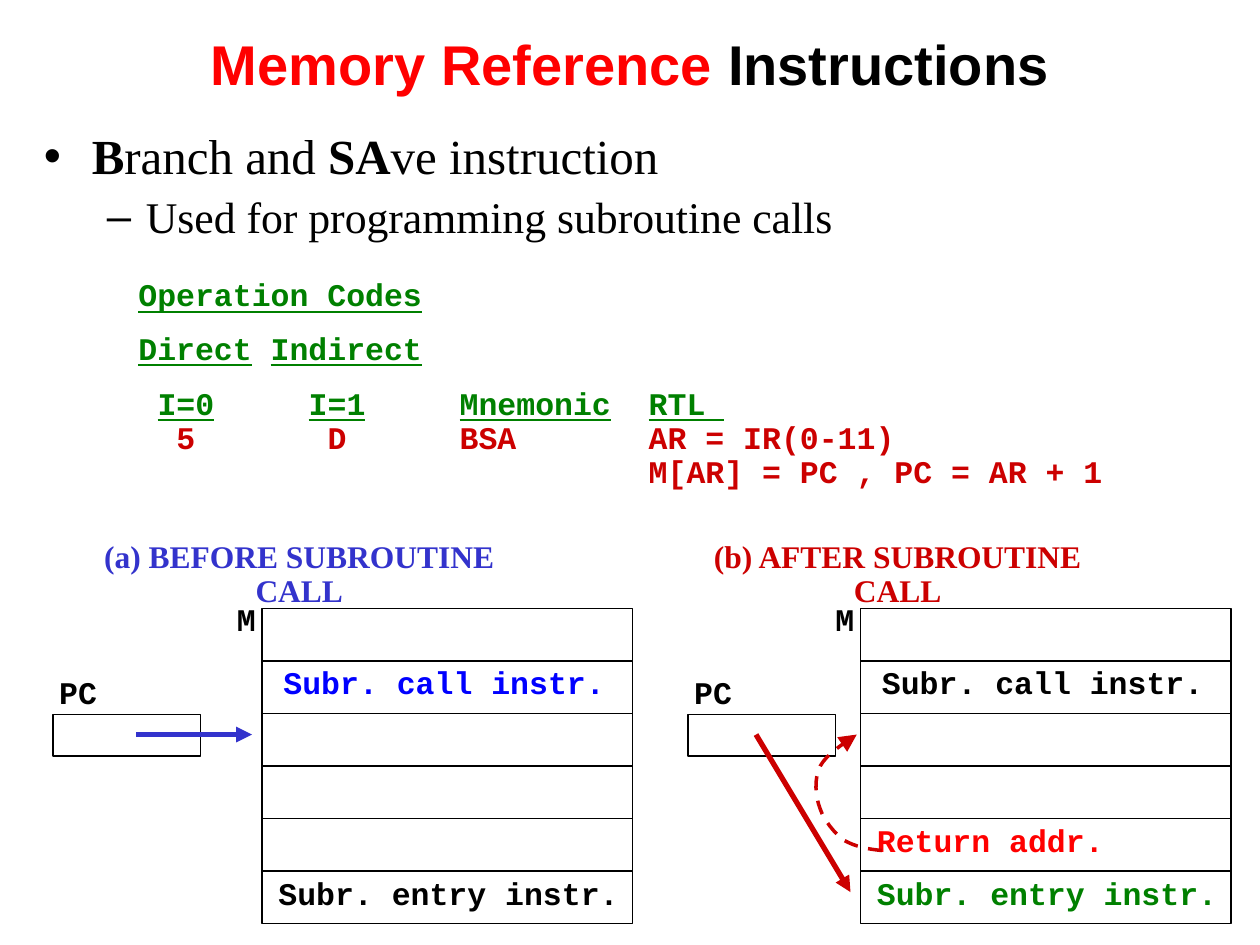
from dataclasses import dataclass

from lxml.etree import SubElement
from pptx import Presentation
from pptx.dml.color import RGBColor
from pptx.enum.dml import MSO_LINE
from pptx.enum.shapes import MSO_CONNECTOR, MSO_SHAPE
from pptx.enum.text import MSO_ANCHOR, PP_ALIGN
from pptx.oxml.ns import qn
from pptx.util import Inches, Pt


@dataclass(frozen=True)
class Theme:
    black: str = "000000"
    red: str = "FF0000"
    crimson: str = "CC0000"
    green: str = "008000"
    blue: str = "0000FF"
    indigo: str = "3333CC"
    sans: str = "Arial"
    serif: str = "Times New Roman"
    mono: str = "Courier New"
    title: float = 32
    bullet: float = 28
    dash: float = 25
    label: float = 18


THEME = Theme()


def curve_points(start, segments, steps=8):
    points = [start]
    for first, second, end in segments:
        for step in range(1, steps + 1):
            t = step / steps
            weights = ((1 - t) ** 3, 3 * t * (1 - t) ** 2, 3 * t**2 * (1 - t), t**3)
            corners = (start, first, second, end)
            points.append(tuple(sum(w * c[axis] for w, c in zip(weights, corners)) for axis in (0, 1)))
        start = end
    return points


class SlideBuilder:
    def __init__(self, theme, page):
        self.theme = theme
        self.page = page
        self.shapes = page.shapes

    def start_group(self):
        self.shapes = self.page.shapes.add_group_shape().shapes

    def text_box(self, left, top, width, height, wrap=True, anchor=MSO_ANCHOR.TOP):
        box = self.shapes.add_textbox(Inches(left), Inches(top), Inches(width), Inches(height))
        box.text_frame.word_wrap = wrap
        box.text_frame.vertical_anchor = anchor
        return box.text_frame

    def paragraph(self, frame, spans, font, size, first=False, align=None, spacing=0.9, before=0,
                  margin=0, indent=0, bullet=None):
        para = frame.paragraphs[0] if first else frame.add_paragraph()
        para.alignment = align
        para.line_spacing = spacing
        para.space_before = Pt(before)
        if bullet:
            properties = para._p.get_or_add_pPr()
            properties.set("marL", str(Inches(margin)))
            properties.set("indent", str(Inches(indent)))
            SubElement(SubElement(properties, qn("a:buClr")), qn("a:srgbClr"), val=self.theme.black)
            SubElement(properties, qn("a:buFont"), typeface=self.theme.sans)
            SubElement(properties, qn("a:buChar"), char=bullet)
        for text, color, bold, underline in spans:
            span = para.add_run()
            span.text = text
            span.font.name = font
            span.font.size = Pt(size)
            span.font.bold = bold
            span.font.underline = underline
            span.font.color.rgb = RGBColor.from_string(color)

    def label(self, text, left, top, width, color=THEME.black, font=THEME.mono, wrap=False):
        frame = self.text_box(left, top, width, 0.37, wrap)
        self.paragraph(frame, [(text, color, True, False)], font, self.theme.label,
                       first=True, align=PP_ALIGN.CENTER)

    def code_column(self, heading, values, left, width, align):
        frame = self.text_box(left, 3.03, width, 0.1 + 0.27 * (1 + len(values)))
        self.paragraph(frame, [(heading, self.theme.green, True, True)],
                       self.theme.mono, self.theme.label, first=True, align=align)
        for value in values:
            self.paragraph(frame, [(value, self.theme.crimson, True, False)],
                           self.theme.mono, self.theme.label, align=align)

    def style_line(self, shape, color, weight, arrow=None):
        shape.line.color.rgb = RGBColor.from_string(color)
        shape.line.width = Pt(weight)
        if arrow:
            SubElement(shape.line._get_or_add_ln(), qn("a:tailEnd"), type="triangle", w=arrow, len=arrow)

    def rectangle(self, left, top, width, height):
        box = self.shapes.add_shape(MSO_SHAPE.RECTANGLE, Inches(left), Inches(top),
                                    Inches(width), Inches(height))
        box.shadow.inherit = False
        box.fill.background()
        self.style_line(box, self.theme.black, 0.75)

    def line(self, start, end, color=THEME.black, weight=0.75, arrow=None):
        connector = self.shapes.add_connector(MSO_CONNECTOR.STRAIGHT, *map(Inches, start + end))
        self.style_line(connector, color, weight, arrow)
        SubElement(connector._element.spPr, qn("a:effectLst"))

    def dashed_curve(self, start, segments, color):
        points = [(Inches(x), Inches(y)) for x, y in curve_points(start, segments)]
        builder = self.shapes.build_freeform(*points[0])
        builder.add_line_segments(points[1:], close=False)
        curve = builder.convert_to_shape()
        curve.shadow.inherit = False
        curve.fill.background()
        curve.line.dash_style = MSO_LINE.DASH
        self.style_line(curve, color, 2, "lg")

    def memory(self, left, counter_left, call_color, entry_color):
        top, width, height, rows = 4.83, 2.94, 2.5, 6
        self.rectangle(counter_left, 5.67, 1.17, 0.33)
        self.label("PC", counter_left - 0.05, 5.33, 0.5)
        self.label("M", left - 0.3, 4.75, 0.35)
        self.rectangle(left, top, width, height)
        for row in range(1, rows):
            level = top + row * height / rows
            self.line((left, level), (left + width, level))
        self.label("Subr. call instr.", left + 0.03, 5.25, 2.83, call_color)
        self.label("Subr. entry instr.", left + 0.03, 6.92, 2.9, entry_color)


def main():
    deck = Presentation()
    deck.slide_width, deck.slide_height = Inches(10), Inches(7.5)
    theme = THEME
    builder = SlideBuilder(theme, deck.slides.add_slide(deck.slide_layouts[6]))

    title = builder.text_box(0, 0, 10, 1, anchor=MSO_ANCHOR.MIDDLE)
    builder.paragraph(title, [("Memory Reference ", theme.red, True, False),
                              ("Instructions", theme.black, True, False)],
                      theme.sans, theme.title, first=True, align=PP_ALIGN.CENTER, spacing=1.0)

    body = builder.text_box(0.25, 1, 9.42, 1)
    topic = [("B", True), ("ranch and ", False), ("SA", True), ("ve instruction", False)]
    builder.paragraph(body, [(text, theme.black, bold, False) for text, bold in topic],
                      theme.serif, theme.bullet, first=True, before=7,
                      margin=0.38, indent=-0.38, bullet="•")
    builder.paragraph(body, [("Used for programming subroutine calls", theme.black, False, False)],
                      theme.serif, theme.dash, before=6.2, margin=0.81, indent=-0.31, bullet="–")

    codes = builder.text_box(1, 2.17, 8.17, 0.8)
    for index, heading in enumerate([["Operation Codes"], ["Direct", " ", "Indirect"]]):
        spans = [(text, theme.green, True, text != " ") for text in heading]
        builder.paragraph(codes, spans, theme.mono, theme.label, first=index == 0, before=11.2)
    for column in [("I=0", ["5"], 1.1, 0.75, PP_ALIGN.CENTER),
                   ("I=1", ["D"], 2.3, 0.75, PP_ALIGN.CENTER),
                   ("Mnemonic", ["BSA"], 3.55, 1.5, PP_ALIGN.LEFT),
                   ("RTL ", ["AR = IR(0-11)", "M[AR] = PC , PC = AR + 1"], 5.05, 4.12, PP_ALIGN.LEFT)]:
        builder.code_column(*column)

    builder.start_group()
    builder.memory(2.08, 0.42, theme.blue, theme.black)
    builder.line((1.08, 5.83), (2, 5.83), theme.indigo, 3, arrow="med")
    builder.label("(a) BEFORE SUBROUTINE CALL", 0.42, 4.25, 3.91, theme.indigo, theme.serif, wrap=True)

    builder.start_group()
    builder.memory(6.83, 5.46, theme.black, theme.green)
    builder.label("Return addr.", 6.86, 6.5, 2, theme.red)
    builder.line((6, 5.83), (6.75, 7.08), theme.crimson, 3, arrow="med")
    builder.label("(b) AFTER SUBROUTINE CALL", 5.26, 4.25, 3.73, theme.crimson, theme.serif, wrap=True)
    builder.dashed_curve((7, 6.75), [((6.89, 6.74), (6.79, 6.72), (6.7, 6.67)),
                                     ((6.62, 6.61), (6.54, 6.51), (6.51, 6.42)),
                                     ((6.47, 6.32), (6.46, 6.18), (6.51, 6.08)),
                                     ((6.56, 5.99), (6.68, 5.91), (6.8, 5.83))], theme.crimson)

    deck.save("out.pptx")


if __name__ == "__main__":
    main()
